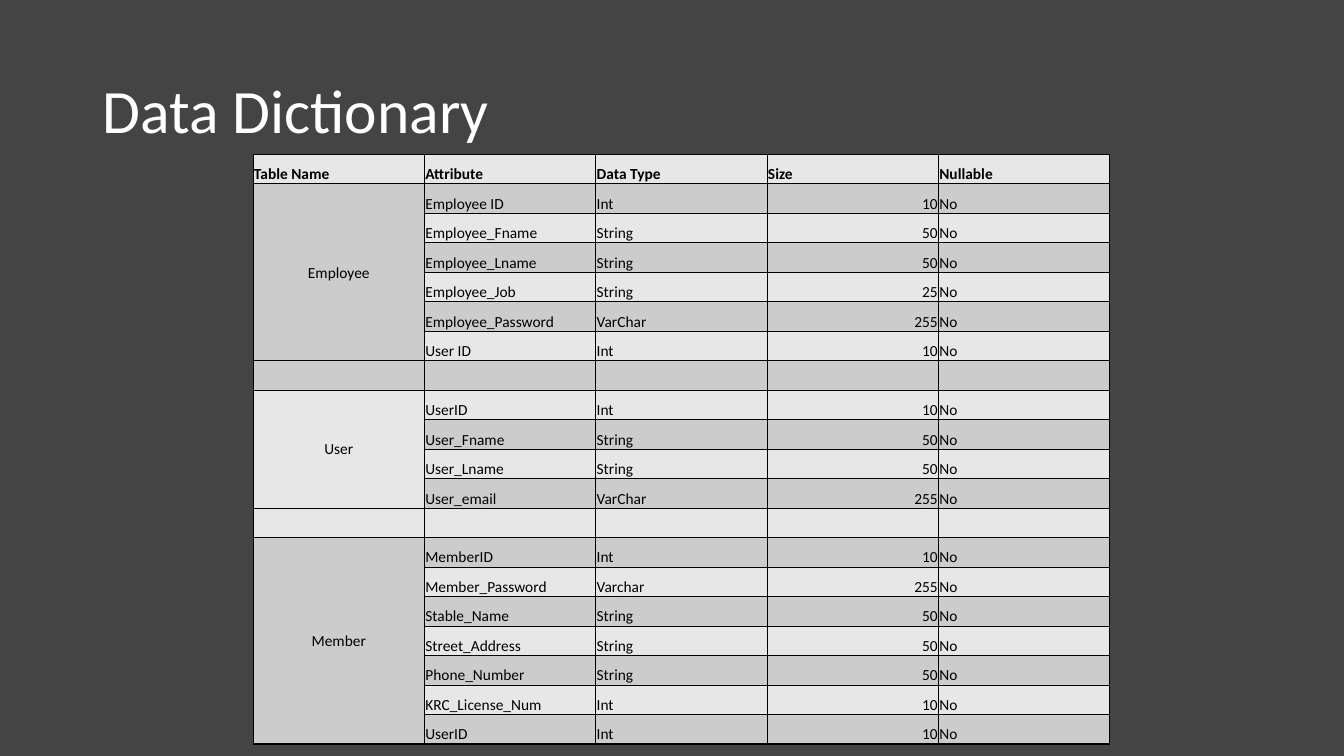
from lxml import etree
from pptx import Presentation
from pptx.dml.color import RGBColor
from pptx.enum.text import MSO_ANCHOR, PP_ALIGN
from pptx.oxml.ns import qn
from pptx.util import Cm, Pt

LEFT, CENTER, RIGHT = PP_ALIGN.LEFT, PP_ALIGN.CENTER, PP_ALIGN.RIGHT
MIDDLE, BOTTOM = MSO_ANCHOR.MIDDLE, MSO_ANCHOR.BOTTOM
FONT = "Calibri"
TABLE_TEXT_SIZE = 11
BACKGROUND, WHITE, BLACK = "444444", "FFFFFF", "000000"
BAND_COLOURS = ("E7E7E7", "CCCCCC")

HEADERS = ("Table Name", "Attribute", "Data Type", "Size", "Nullable")
SIZE_COLUMN = HEADERS.index("Size")
ENTITIES = {
    "Employee": [
        ("Employee ID", "Int", 10),
        ("Employee_Fname", "String", 50),
        ("Employee_Lname", "String", 50),
        ("Employee_Job", "String", 25),
        ("Employee_Password", "VarChar", 255),
        ("User ID", "Int", 10),
    ],
    "User": [
        ("UserID", "Int", 10),
        ("User_Fname", "String", 50),
        ("User_Lname", "String", 50),
        ("User_email", "VarChar", 255),
    ],
    "Member": [
        ("MemberID", "Int", 10),
        ("Member_Password", "Varchar", 255),
        ("Stable_Name", "String", 50),
        ("Street_Address", "String", 50),
        ("Phone_Number", "String", 50),
        ("KRC_License_Num", "Int", 10),
        ("UserID", "Int", 10),
    ],
}


def rgb(colour):
    return RGBColor.from_string(colour)


def format_runs(paragraph, size, colour, bold=False):
    for run in paragraph.runs:
        run.font.name = FONT
        run.font.size = Pt(size)
        run.font.bold = bold
        run.font.color.rgb = rgb(colour)


def add_borders(cell, colour=BLACK, width=1):
    properties = cell._tc.get_or_add_tcPr()
    for side in ("a:lnL", "a:lnR", "a:lnT", "a:lnB"):
        line = etree.SubElement(properties, qn(side), w=str(Pt(width)))
        fill = etree.SubElement(line, qn("a:solidFill"))
        etree.SubElement(fill, qn("a:srgbClr"), val=colour)


def style_cell(cell, fill_colour):
    add_borders(cell)
    cell.fill.solid()
    cell.fill.fore_color.rgb = rgb(fill_colour)
    cell.margin_left = cell.margin_right = cell.margin_top = Cm(0.02)
    cell.margin_bottom = 0
    cell.vertical_anchor = BOTTOM


def write_cell(cell, text, alignment=LEFT, bold=False):
    paragraph = cell.text_frame.paragraphs[0]
    paragraph.text = text
    paragraph.alignment = alignment
    format_runs(paragraph, TABLE_TEXT_SIZE, BLACK, bold)


def keep_row_low(cell):
    """Give an empty cell the small text size, so that its row does not grow."""
    paragraph = cell.text_frame.paragraphs[0]
    etree.SubElement(paragraph._p, qn("a:endParaRPr"), sz=str(TABLE_TEXT_SIZE * 100))


def add_title(slide, text, left, top, width, height):
    title = slide.shapes.title
    title.left, title.top, title.width, title.height = left, top, width, height
    frame = title.text_frame
    frame.text = text
    frame.word_wrap = True
    frame.vertical_anchor = MIDDLE
    paragraph = frame.paragraphs[0]
    paragraph.alignment = LEFT
    paragraph.line_spacing = 0.9
    format_runs(paragraph, 44, WHITE)


def add_entity(table, first_row, name, attributes):
    last_row = first_row + len(attributes) - 1
    name_cell = table.cell(first_row, 0)
    name_cell.merge(table.cell(last_row, 0))
    name_cell.vertical_anchor = MIDDLE
    write_cell(name_cell, name, CENTER)
    for row, (attribute, data_type, size) in enumerate(attributes, first_row):
        values = (attribute, data_type, str(size), "No")
        for column, value in enumerate(values, 1):
            alignment = RIGHT if column == SIZE_COLUMN else LEFT
            write_cell(table.cell(row, column), value, alignment)


def add_dictionary_table(slide, left, top, width, height):
    """Draw the header and the entities, with an empty row between entities."""
    row_count = sum(len(attributes) + 1 for attributes in ENTITIES.values())
    column_count = len(HEADERS)
    table = slide.shapes.add_table(
        row_count, column_count, left, top, width, height).table
    for row in range(row_count):
        for column in range(column_count):
            style_cell(table.cell(row, column), BAND_COLOURS[row % 2])
    for column, header in enumerate(HEADERS):
        write_cell(table.cell(0, column), header, bold=True)

    first_row = 1
    for name, attributes in ENTITIES.items():
        add_entity(table, first_row, name, attributes)
        first_row += len(attributes) + 1
    for row in range(row_count):
        for column in range(column_count):
            cell = table.cell(row, column)
            if not cell.text_frame.text:
                keep_row_low(cell)


def main():
    presentation = Presentation()
    presentation.slide_width = Cm(33.87)
    presentation.slide_height = Cm(19.05)
    title_only = presentation.slide_layouts.get_by_name("Title Only")
    slide = presentation.slides.add_slide(title_only)
    slide.background.fill.solid()
    slide.background.fill.fore_color.rgb = rgb(BACKGROUND)
    add_title(slide, "Data Dictionary", Cm(2.33), Cm(1.01), Cm(29.21), Cm(3.68))
    add_dictionary_table(slide, Cm(6.38), Cm(3.89), Cm(21.59), Cm(14.86))
    presentation.save("out.pptx")


if __name__ == "__main__":
    main()
